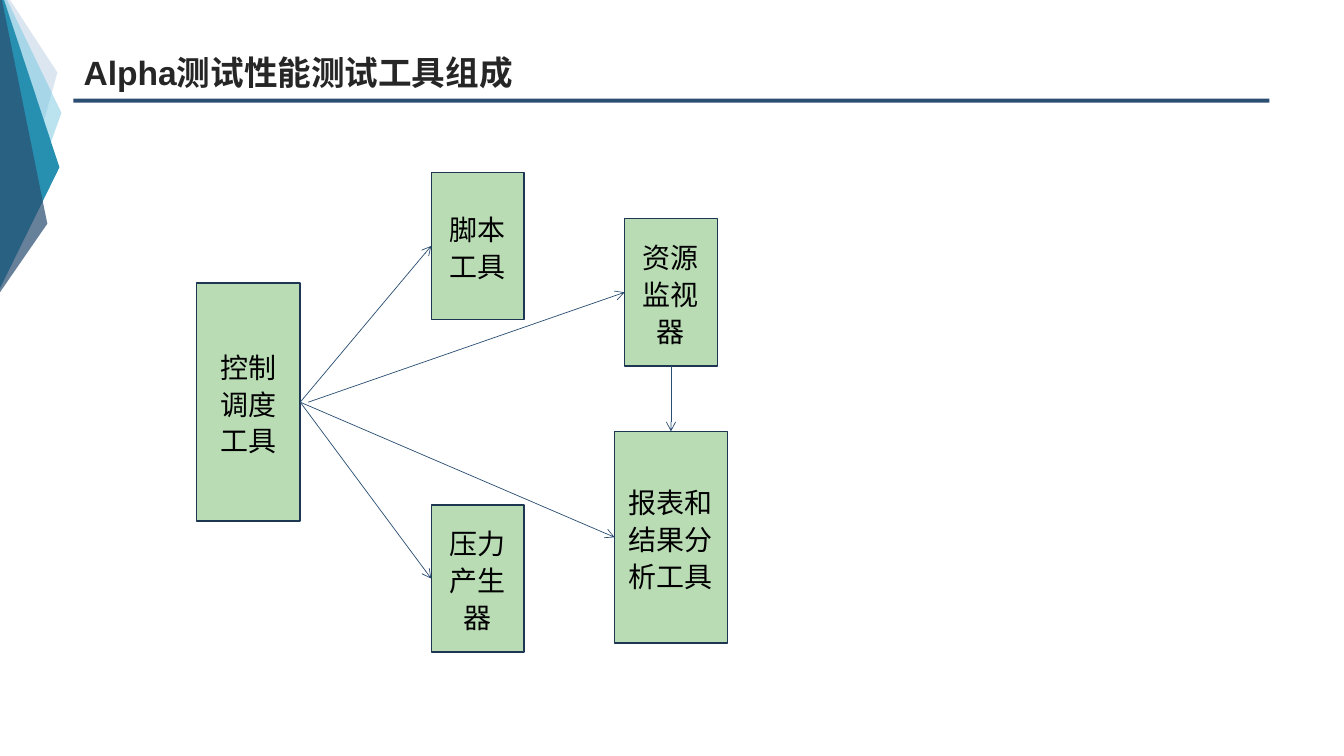
from lxml.etree import SubElement
from pptx import Presentation
from pptx.dml.color import RGBColor as Rgb
from pptx.enum.shapes import MSO_CONNECTOR as Connector, MSO_SHAPE as Preset
from pptx.enum.text import MSO_ANCHOR as Anchor, MSO_AUTO_SIZE as AutoSize, PP_ALIGN as Align
from pptx.oxml.ns import qn
from pptx.util import Pt

PX = 9144
COLOURS = {
    "mist": "98B8D8", "sky": "6EC5DF", "teal": "2790B0", "navy": "2B4E72",
    "green": "B9DCB5", "edge": "1D3752", "heading": "262626", "label": "000000",
}
TOP, LEFT, BOTTOM, RIGHT = range(4)


def colour(name):
    return Rgb.from_string(COLOURS[name])


def apply(target, values):
    for name, value in values.items():
        setattr(target, name, value)


class Diagram:
    title_font = {"name": "Arial", "size": Pt(24), "bold": True}
    label_font = {"name": "Arial", "size": Pt(20), "bold": False}
    frame = {"word_wrap": True, "auto_size": AutoSize.NONE, "vertical_anchor": Anchor.MIDDLE}

    def __init__(self, deck):
        self.slide = deck.slides.add_slide(deck.slide_layouts[5])
        self.shapes = self.slide.shapes

    def label(self, shape, text, font, ink, paragraph_format):
        apply(shape.text_frame, self.frame)
        paragraph = shape.text_frame.paragraphs[0]
        apply(paragraph, paragraph_format)
        run = paragraph.add_run()
        run.text = text
        apply(run.font, font)
        run.font.color.rgb = colour(ink)

    def paint(self, shape, fill):
        shape.shadow.inherit = False
        shape.fill.solid()
        shape.fill.fore_color.rgb = colour(fill)
        shape.line.fill.background()

    def title(self, text, left, top, width, height):
        heading = self.shapes.title
        place = {"left": left, "top": top, "width": width, "height": height}
        apply(heading, {name: value * PX for name, value in place.items()})
        self.label(heading, text, self.title_font, "heading", {"alignment": Align.LEFT})

    def box(self, fill, *place):
        shape = self.shapes.add_shape(Preset.RECTANGLE, *(value * PX for value in place))
        self.paint(shape, fill)
        return shape

    def tool(self, text, *place):
        shape = self.box("green", *place)
        shape.line.color.rgb = colour("edge")
        shape.line.width = Pt(1)
        self.label(shape, text, self.label_font, "label",
                   {"alignment": Align.CENTER, "line_spacing": 1.1})
        return shape

    def shard(self, fill, opacity, top_x, tip, bottom):
        builder = self.shapes.build_freeform(0, 0, scale=PX)
        builder.add_line_segments([(top_x, 0), tip, (0, bottom)], close=True)
        shape = builder.convert_to_shape()
        self.paint(shape, fill)
        if opacity < 100:
            shade = shape._element.spPr.find(qn("a:solidFill"))[0]
            SubElement(shade, qn("a:alpha")).set("val", str(opacity * 1000))

    def arrow(self, source, source_site, target, target_site):
        line = self.shapes.add_connector(Connector.STRAIGHT, 306 * PX, 399 * PX, 0, 0)
        if source is not None:
            line.begin_connect(source, source_site)
        line.end_connect(target, target_site)
        line.line.color.rgb = colour("navy")
        line.line.width = Pt(0.5)
        properties = line._element.spPr
        SubElement(properties.find(qn("a:ln")), qn("a:tailEnd")).set("type", "arrow")
        SubElement(properties, qn("a:effectLst"))


def main():
    deck = Presentation()
    apply(deck, {"slide_width": 1334 * PX, "slide_height": 750 * PX})
    diagram = Diagram(deck)

    for shard in (
        ("mist", 34, 10, (57, 72), 276),
        ("sky", 47, 7, (61, 112), 282),
        ("teal", 100, 4, (59, 166), 286),
        ("navy", 71, 2, (47, 222), 290),
    ):
        diagram.shard(*shard)
    diagram.box("navy", 73, 98, 1187, 4)
    diagram.title("Alpha测试性能测试工具组成", 73, 48, 1187, 48)

    control = diagram.tool("控制调度工具", 195, 281, 103, 236)
    script = diagram.tool("脚本工具", 428, 171, 92, 146)
    load = diagram.tool("压力产生器", 428, 501, 92, 146)
    monitor = diagram.tool("资源监视器", 620, 217, 92, 146)
    report = diagram.tool("报表和结果分析工具", 610, 428, 112, 210)

    for target in (script, load, report):
        diagram.arrow(control, RIGHT, target, LEFT)
    diagram.arrow(None, None, monitor, LEFT)
    diagram.arrow(monitor, BOTTOM, report, TOP)

    deck.save("out.pptx")


if __name__ == "__main__":
    main()
